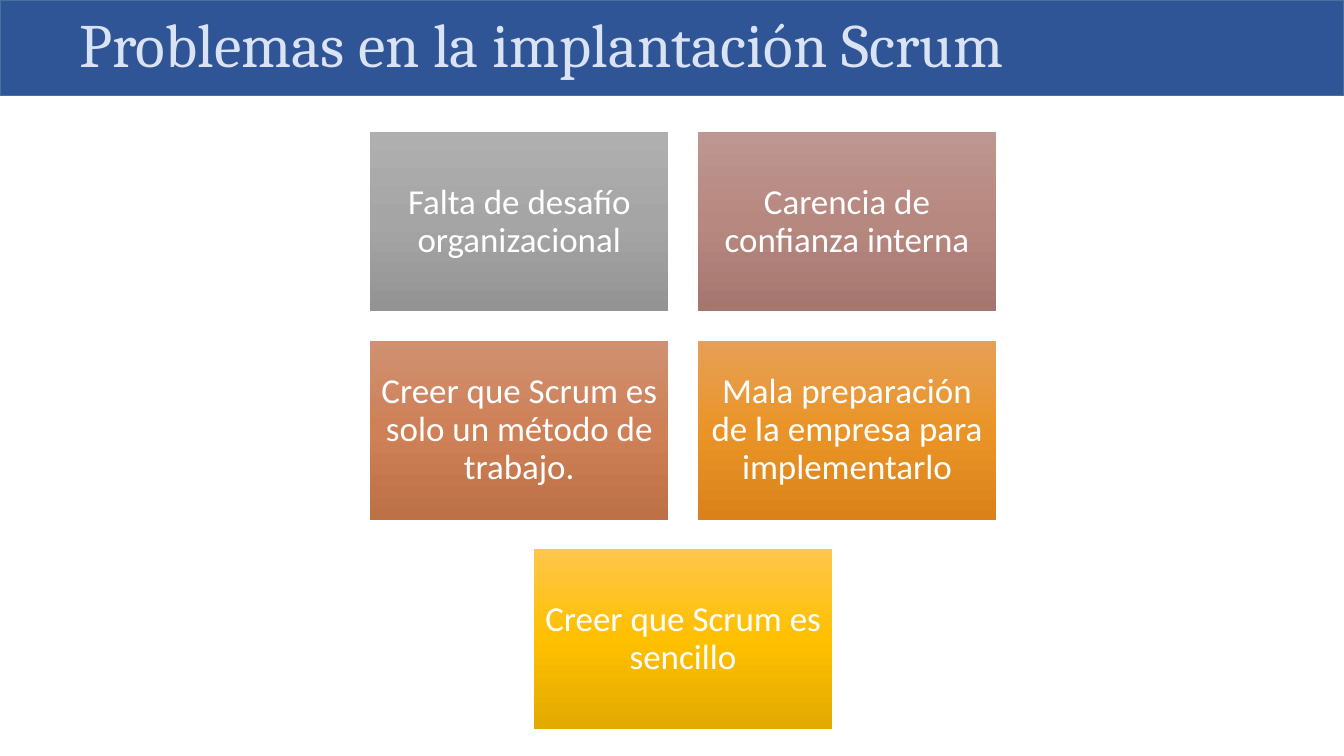
from copy import deepcopy
from dataclasses import dataclass

from pptx import Presentation
from pptx.dml.color import RGBColor
from pptx.enum.shapes import MSO_SHAPE as Shape
from pptx.enum.text import MSO_ANCHOR as Anchor, PP_ALIGN as Align
from pptx.util import Inches, Pt


@dataclass(frozen=True)
class Theme:
    banner: str = "2F5597"
    banner_line: str = "43739E"
    title: str = "DAE3F3"
    card_text: str = "FFFFFF"
    title_font: str = "Cambria"
    card_font: str = "Calibri"
    title_size: int = 44
    card_size: int = 25
    gradients: tuple = (
        ("AFAFAF", "A5A5A5", "939393"),
        ("BD9791", "B78880", "A5766F"),
        ("CF9172", "CE8056", "BD7147"),
        ("E6A056", "EA9427", "DA8219"),
        ("FFC64B", "FFC000", "E3AA00"),
    )


THEME = Theme()
TITLE = "Problemas en la implantación Scrum"
PROBLEMS = (
    "Falta de desafío organizacional",
    "Carencia de confianza interna",
    "Creer que Scrum es solo un método de trabajo.",
    "Mala preparación de la empresa para implementarlo",
    "Creer que Scrum es sencillo",
)
COLUMNS = 2
CARD_WIDTH, CARD_HEIGHT, GAP = 2.96, 1.78, 0.29


def set_values(target, values):
    for name, value in values.items():
        setattr(target, name, value)


def add_block(slide, box, text, margins, alignment, font):
    shape = slide.shapes.add_shape(Shape.RECTANGLE, *map(Inches, box))
    shape.shadow.inherit = False
    frame = shape.text_frame
    left, top, right, bottom = map(Inches, margins)
    set_values(frame, {
        "word_wrap": True,
        "vertical_anchor": Anchor.MIDDLE,
        "margin_left": left,
        "margin_top": top,
        "margin_right": right,
        "margin_bottom": bottom,
    })
    paragraph = frame.paragraphs[0]
    set_values(paragraph, {"text": text, "alignment": alignment, "line_spacing": 0.9})
    name, size, color = font
    set_values(paragraph.font, {"name": name, "size": Pt(size)})
    paragraph.font.color.rgb = RGBColor.from_string(color)
    return shape


def fill_gradient(shape, colors):
    shape.fill.gradient()
    shape.fill.gradient_angle = 270
    stops = shape.fill._fill._gradFill.gsLst
    stops.insert(1, deepcopy(stops[0]))
    for stop, color, position in zip(shape.fill.gradient_stops, colors, (0, 0.5, 1)):
        stop.color.rgb = RGBColor.from_string(color)
        stop.position = position


def add_banner(slide, box):
    font = (THEME.title_font, THEME.title_size, THEME.title)
    banner = add_block(slide, box, TITLE, (0.79, 0.05, 0.1, 0.05), Align.LEFT, font)
    banner.fill.solid()
    banner.fill.fore_color.rgb = RGBColor.from_string(THEME.banner)
    banner.line.color.rgb = RGBColor.from_string(THEME.banner_line)
    banner.line.width = Pt(1)


def add_problem_grid(slide, box):
    left, top, width = box
    font = (THEME.card_font, THEME.card_size, THEME.card_text)
    for index, (problem, colors) in enumerate(zip(PROBLEMS, THEME.gradients)):
        row, column = divmod(index, COLUMNS)
        count = min(COLUMNS, len(PROBLEMS) - row * COLUMNS)
        row_width = count * CARD_WIDTH + (count - 1) * GAP
        x = left + (width - row_width) / 2 + column * (CARD_WIDTH + GAP)
        y = top + row * (CARD_HEIGHT + GAP)
        card = add_block(slide, (x, y, CARD_WIDTH, CARD_HEIGHT), problem,
                         (0.1,) * 4, Align.CENTER, font)
        fill_gradient(card, colors)
        card.line.fill.background()


def main():
    presentation = Presentation()
    set_values(presentation, {"slide_width": Inches(13.33), "slide_height": Inches(7.5)})
    slide = presentation.slides.add_slide(presentation.slide_layouts[6])
    add_banner(slide, (0, 0, 13.33, 0.95))
    add_problem_grid(slide, (3.67, 1.31, 6.21))
    presentation.save("out.pptx")


if __name__ == "__main__":
    main()
